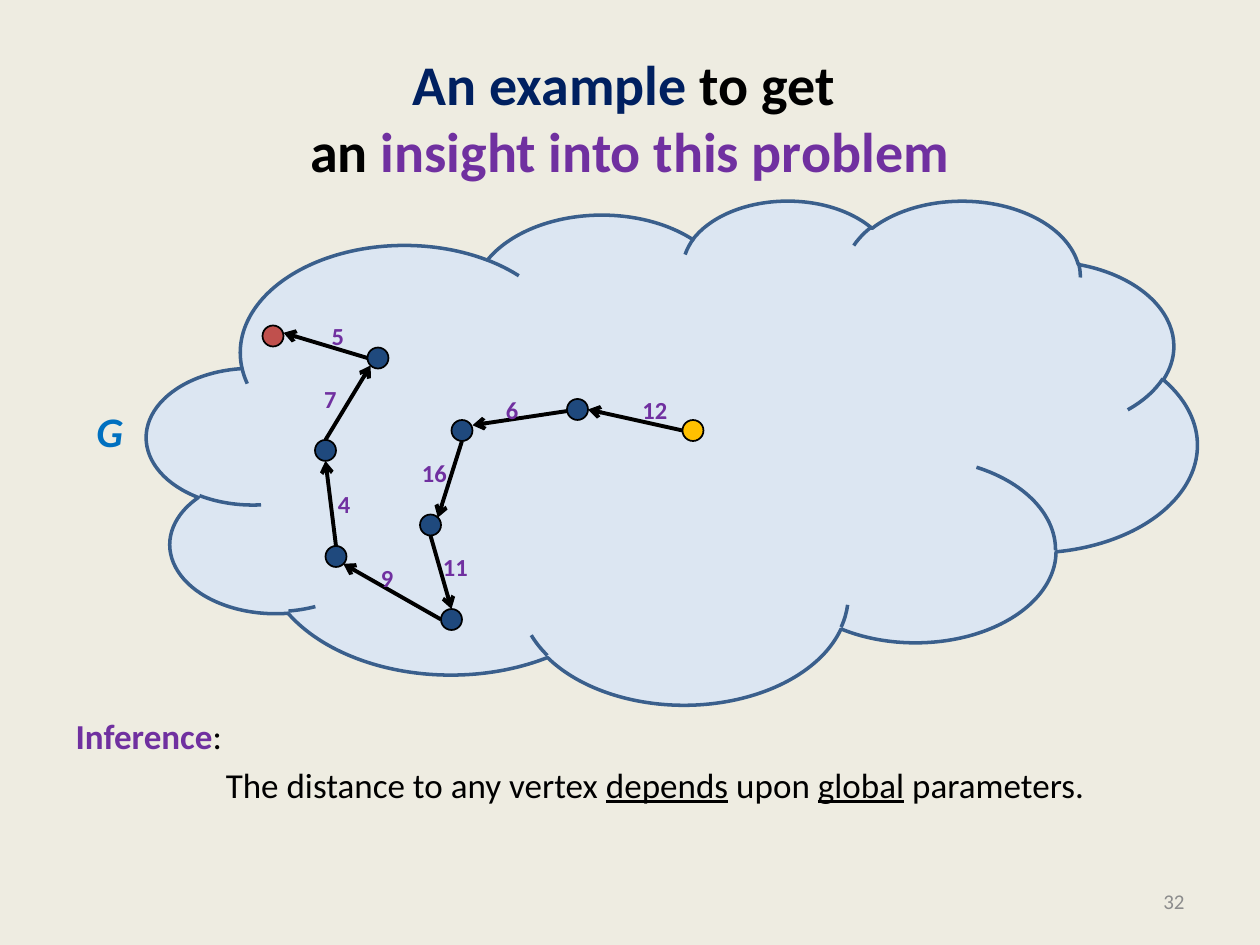
from lxml import etree
from pptx import Presentation
from pptx.dml.color import RGBColor
from pptx.enum.shapes import MSO_CONNECTOR, MSO_SHAPE
from pptx.enum.text import MSO_ANCHOR, MSO_AUTO_SIZE, PP_ALIGN
from pptx.oxml.ns import qn
from pptx.util import Inches, Pt

STRAIGHT = MSO_CONNECTOR.STRAIGHT
CLOUD, OVAL = MSO_SHAPE.CLOUD, MSO_SHAPE.OVAL
MIDDLE, TOP = MSO_ANCHOR.MIDDLE, MSO_ANCHOR.TOP
LEFT, CENTER, RIGHT = PP_ALIGN.LEFT, PP_ALIGN.CENTER, PP_ALIGN.RIGHT

# The slide is a grid of 120 columns and 90 rows; a vertex has a radius of one unit
presentation = Presentation()
presentation.slide_width, presentation.slide_height = Inches(10), Inches(7.5)
UNIT = presentation.slide_width / 120
BLACK, NAVY, PURPLE, BLUE = "000000", "002060", "7030A0", "1F497D"


def color(value):
    return RGBColor.from_string(value)


def grid(*values):
    return [round(value * UNIT) for value in values]


slide = presentation.slides.add_slide(presentation.slide_layouts[1])
slide.background.fill.solid()
slide.background.fill.fore_color.rgb = color("EEECE1")

# Title
title = slide.shapes.title
title.left, title.top, title.width, title.height = grid(6, 3.6, 108, 15)
title.text_frame.auto_size = MSO_AUTO_SIZE.NONE
title.text_frame.vertical_anchor = MIDDLE
paragraph = title.text_frame.paragraphs[0]
paragraph.alignment = CENTER
for text, ink in [("An example", NAVY), (" to get ", BLACK), (None, None),
                  ("an ", BLACK), ("insight into this problem", PURPLE)]:
    if text is None:
        paragraph.add_line_break()
        continue
    run = paragraph.add_run()
    run.text = text
    run.font.color.rgb = color(ink)
paragraph.font.name, paragraph.font.size, paragraph.font.bold = "Calibri", Pt(32), True

# Inference below the graph
body = slide.placeholders[1]
body.left, body.top, body.width, body.height = grid(6, 67.4, 108, 15.6)
frame = body.text_frame
frame.auto_size = MSO_AUTO_SIZE.NONE
frame.vertical_anchor = TOP
# Each line: left indent in units, space before, runs of (text, colour, bold, underline)
lines = [
    (0, 0, [("Inference", PURPLE, True, False), (":", BLACK, False, False)]),
    (14.3, 4, [("The distance to any vertex ", BLACK, False, False),
               ("depends", BLACK, False, True),
               (" upon ", BLACK, False, False),
               ("global", BLACK, False, True),
               (" parameters.", BLACK, False, False)]),
]
for number, (indent, space, runs) in enumerate(lines):
    paragraph = frame.add_paragraph() if number else frame.paragraphs[0]
    paragraph.space_before = Pt(space)
    properties = paragraph._p.get_or_add_pPr()
    properties.set("marL", str(grid(indent)[0]))
    properties.set("indent", "0")
    etree.SubElement(properties, qn("a:buNone"))
    paragraph.font.name, paragraph.font.size = "Calibri", Pt(20)
    for text, ink, bold, underline in runs:
        run = paragraph.add_run()
        run.text = text
        run.font.color.rgb = color(ink)
        run.font.bold, run.font.underline = bold, underline

# Cloud for the graph G
cloud = slide.shapes.add_shape(CLOUD, *grid(14, 19, 100, 48))
cloud.shadow.inherit = False
cloud.fill.solid()
cloud.fill.fore_color.rgb = color("DCE6F2")
cloud.line.color.rgb = color("3A5F8C")
cloud.line.width = Pt(2)

# Vertices along the path: centre column, centre row, fill
vertices = [(66, 41, "FFC000"), (55, 39, BLUE), (44, 41, BLUE),
            (41, 50, BLUE), (43, 59, BLUE), (32, 53, BLUE),
            (31, 42.9, BLUE), (36, 34.1, BLUE), (26, 32, "C0504D")]

# Edges between neighbours: offset from the start vertex, offset from the end vertex
edges = [((-1, 0), (1, 0)), ((0, 0), (1, -0.5)), ((0, 1), (0.7, -0.7)),
         ((0, 1), (0, -1)), ((-1, 0), (0.7, 0.7)), ((0, -1), (0, 1)),
         ((0, -1), (-0.7, 0.7)), ((-1, 0), (1, -0.3))]
for start, end, (leave, enter) in zip(vertices, vertices[1:], edges):
    edge = slide.shapes.add_connector(
        STRAIGHT, *grid(start[0] + leave[0], start[1] + leave[1],
                        end[0] + enter[0], end[1] + enter[1]))
    edge.line.color.rgb = color(BLACK)
    edge.line.width = Pt(2.25)
    etree.SubElement(edge.line._get_or_add_ln(), qn("a:tailEnd"), type="arrow")
    etree.SubElement(edge._element.spPr, qn("a:effectLst"))

for column, row, fill in vertices:
    vertex = slide.shapes.add_shape(OVAL, *grid(column - 1, row - 1, 2, 2))
    vertex.shadow.inherit = False
    vertex.fill.solid()
    vertex.fill.fore_color.rgb = color(fill)
    vertex.line.color.rgb = color(BLACK)
    vertex.line.width = Pt(1)

# Edge weights, graph name and slide number: text, column, row
weights = [("12", 60, 37), ("6", 47, 37), ("16", 39, 43), ("11", 41, 52),
           ("9", 35.1, 53), ("4", 31, 46), ("7", 29.7, 36), ("5", 30.4, 30)]
labels = [(text, (column, row, 2.4 + 1.2 * len(text), 4), 14, PURPLE, True, False, LEFT, TOP)
          for text, column, row in weights]
labels.append(("G", (8, 38, 5, 6), 24, "0070C0", True, True, LEFT, TOP))
labels.append(("32", (86, 83.4, 28, 4.8), 12, "8C8C8C", False, False, RIGHT, MIDDLE))
for text, area, size, ink, bold, italic, alignment, anchor in labels:
    label = slide.shapes.add_textbox(*grid(*area))
    label.text_frame.word_wrap = alignment == RIGHT
    label.text_frame.vertical_anchor = anchor
    paragraph = label.text_frame.paragraphs[0]
    paragraph.text = text
    paragraph.alignment = alignment
    paragraph.font.name, paragraph.font.size = "Calibri", Pt(size)
    paragraph.font.bold, paragraph.font.italic = bold, italic
    paragraph.font.color.rgb = color(ink)

presentation.save("out.pptx")
